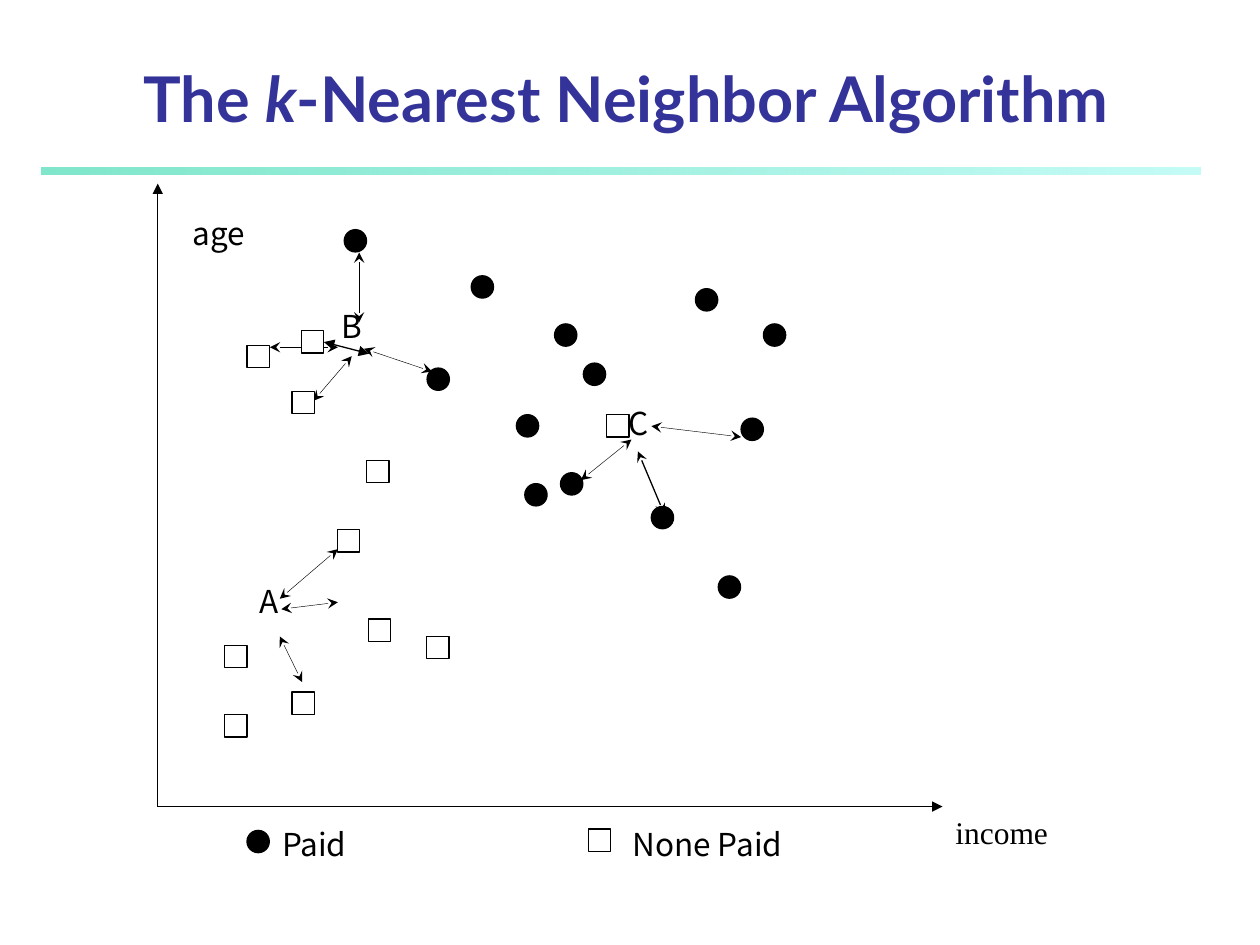
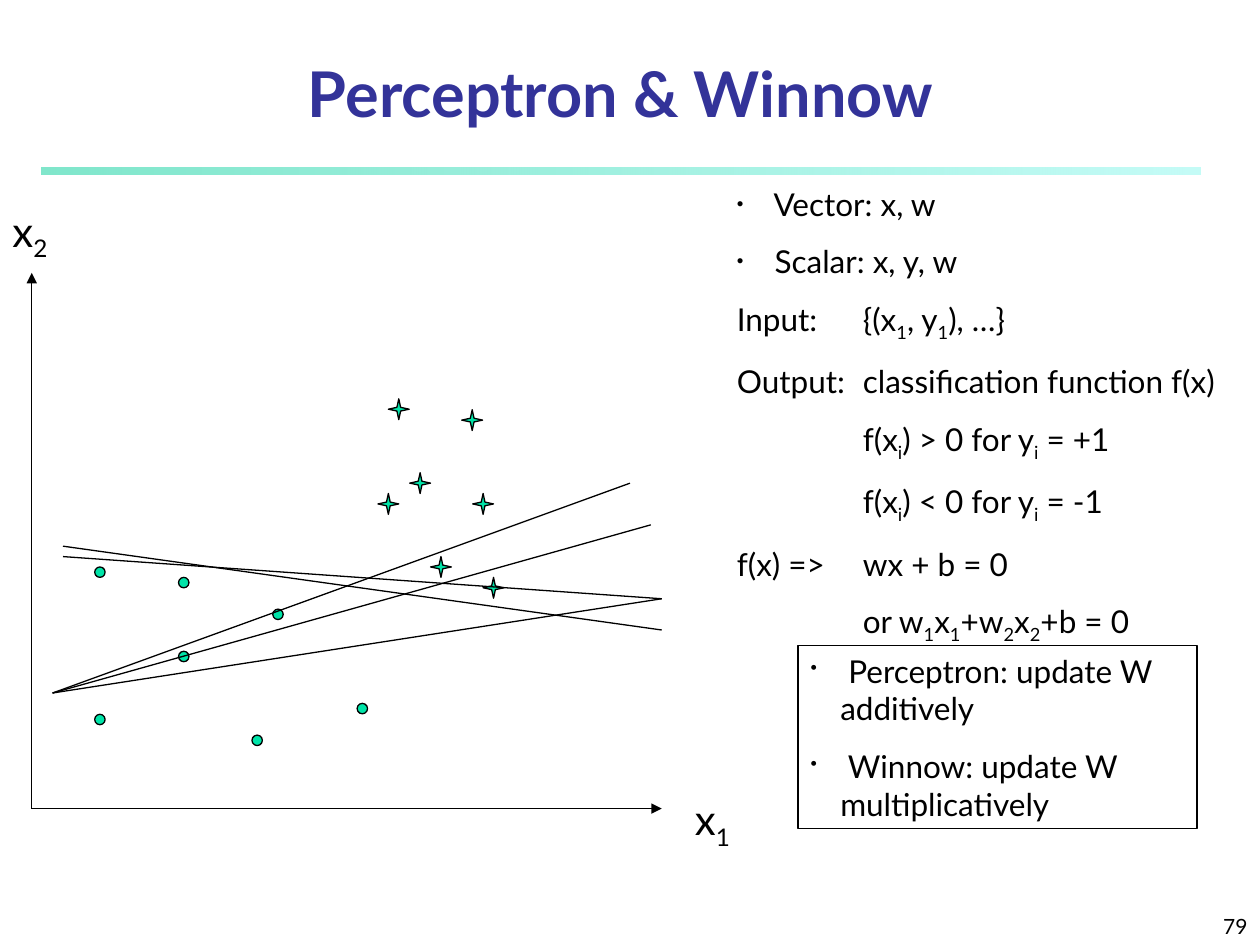
from lxml import etree
from pptx import Presentation
from pptx.dml.color import RGBColor
from pptx.enum import shapes, text
from pptx.oxml import ns
from pptx.util import Cm, Pt

COLORS = {
    "title": "333399",
    "ink": "000000",
    "paper": "FFFFFF",
    "mint": "00E4A8",
    "band_left": "00CE98",
    "band_right": "8FF9EF",
}
LATIN, SANS, SERIF = "Lato", "Noto Sans CJK SC", "Times New Roman"
MARK = shapes.MSO_SHAPE

# Slide 1: left and top of each customer, in cm
PAID = [(13.13, 10.21), (9.5, 5.56), (11.18, 6.53), (15.39, 6.53), (14.02, 5.82),
        (14.94, 8.43), (6.94, 4.63), (11.76, 7.32), (11.3, 9.53), (14.48, 11.61),
        (10.58, 9.75), (8.61, 7.42), (10.41, 8.36)]
NONE_PAID = [(4.98, 6.96), (6.8, 10.68), (7.39, 9.28), (8.6, 12.83), (5.89, 13.95),
             (4.53, 13.01), (4.53, 14.41), (5.89, 7.89), (12.23, 8.36), (7.43, 12.48)]
B_NEIGHBOR = (6.08, 6.67)
NEIGHBOR_LINKS = [
    (7.24, 5.09, 7.24, 6.5), (5.44, 7, 6.81, 7), (8.71, 7.49, 7.34, 7.03),
    (6.32, 8.08, 7.09, 7.18), (14.94, 8.81, 13.13, 8.59), (11.71, 9.68, 12.73, 8.86),
    (5.67, 12.28, 6.81, 12.14), (6.81, 11.07, 5.64, 12.07), (6.09, 13.75, 5.64, 12.83)]
PLOT_LABELS = [("B", 6.63, 6.06, 1.35, SANS), ("age", 3.63, 4.18, 1.8, SANS),
               ("C", 12.42, 8.03, 1.8, SANS), ("A", 4.98, 11.61, 1.35, SANS),
               ("income", 19.01, 16.26, 3, SERIF), ("Paid", 5.44, 16.51, 5.36, SANS),
               ("None Paid", 12.5, 16.51, 5.92, SANS)]

# Slide 2: samples of both classes and the candidate boundaries, in cm
NEGATIVES = [(1.91, 11.43), (1.91, 14.4), (3.6, 11.64), (5.08, 14.82), (3.6, 13.13),
             (5.5, 12.28), (7.2, 14.18)]
POSITIVES = [(8.26, 9.53), (9.53, 9.95), (8.68, 11.22), (7.83, 8.04), (7.62, 9.95),
             (9.74, 11.64), (9.31, 8.26)]
BOUNDARIES = [(12.7, 9.74, 1.06, 13.97), (1.06, 13.97, 13.12, 10.58),
              (1.06, 13.97, 13.34, 12.07), (13.34, 12.07, 1.27, 11.22),
              (1.27, 11.01, 13.34, 12.7)]
VECTORS = [" Vector: x, w", " Scalar: x, y, w"]
INPUT_OUTPUT = ["Input:\t{(x~1~, y~1~), …}", "Output:\tclassification function f(x)"]
CONDITIONS = ["f(x~i~) > 0 for y~i~ = +1", "f(x~i~) < 0 for y~i~ = -1"]
BOUNDARY_RULE = ["f(x) =>\twx + b = 0"]
BOUNDARY_TERMS = ["or w~1~x~1~+w~2~x~2~+b = 0"]
UPDATES = [" Perceptron: update W additively", " Winnow: update W multiplicatively"]
DEFINITION_TAB = 2.54


def color(name):
    return RGBColor.from_string(COLORS[name])


def add_xml(parent, tag, **attributes):
    return etree.SubElement(parent, ns.qn(tag), attributes)


def paint(shape, name):
    shape.fill.solid()
    shape.fill.fore_color.rgb = color(name)


def place(shape, left, top, width, height):
    shape.left, shape.top = Cm(left), Cm(top)
    shape.width, shape.height = Cm(width), Cm(height)


def write(paragraph, content, size=18, font=LATIN, ink="ink", bold=None,
          align=text.PP_ALIGN.LEFT, before=0, bullet=False, margin=0, tab=None,
          marked="subscript"):
    """Fill a paragraph; pieces between ~ signs get the marked style."""
    properties = paragraph._p.get_or_add_pPr()
    hanging = Cm(0.6) if bullet else 0
    properties.set("marL", str(Cm(margin) + hanging))
    properties.set("indent", str(-hanging))
    if bullet:
        add_xml(add_xml(properties, "a:buClr"), "a:srgbClr", val=COLORS["ink"])
        add_xml(properties, "a:buSzPct", val="60000")
        add_xml(properties, "a:buChar", char="•")
    else:
        add_xml(properties, "a:buNone")
    if tab:
        add_xml(add_xml(properties, "a:tabLst"), "a:tab", pos=str(Cm(tab)), algn="l")
    paragraph.alignment = align
    paragraph.space_before = Pt(before)
    for index, piece in enumerate(content.split("~")):
        run = paragraph.add_run()
        run.text = piece
        run.font.size, run.font.name, run.font.bold = Pt(size), font, bold
        run.font.color.rgb = color(ink)
        if index % 2 and marked == "subscript":
            run.font._element.set("baseline", "-25000")
        elif index % 2:
            run.font.italic = True


def write_list(frame, lines, **style):
    """Write paragraphs, reusing the empty first one of the frame."""
    for line in lines:
        first = not frame.paragraphs[0].runs
        paragraph = frame.paragraphs[0] if first else frame.add_paragraph()
        write(paragraph, line, before=0 if first else 11.2, **style)


def add_label(slide, lines, left, top, width, height,
              anchor=text.MSO_ANCHOR.TOP, **style):
    box = slide.shapes.add_textbox(Cm(left), Cm(top), Cm(width), Cm(height))
    box.text_frame.word_wrap = True
    box.text_frame.vertical_anchor = anchor
    write_list(box.text_frame, lines, **style)
    return box


def add_title(slide, content, box, anchor):
    title = slide.shapes.title
    place(title, *box)
    frame = title.text_frame
    frame.auto_size = text.MSO_AUTO_SIZE.NONE
    frame.vertical_anchor = anchor
    write(frame.paragraphs[0], content, size=36, ink="title", bold=True,
          align=text.PP_ALIGN.CENTER, marked="italic")


def add_mark(slide, kind, left, top, size, fill):
    mark = slide.shapes.add_shape(kind, Cm(left), Cm(top), Cm(size), Cm(size))
    mark.shadow.inherit = False
    paint(mark, fill)
    mark.line.color.rgb = color("ink")
    mark.line.width = Pt(0.75)
    return mark


def add_line(slide, x1, y1, x2, y2, width=0.75, head=None, tail=None):
    line = slide.shapes.add_connector(shapes.MSO_CONNECTOR.STRAIGHT,
                                      Cm(x1), Cm(y1), Cm(x2), Cm(y2))
    line.line.color.rgb = color("ink")
    line.line.width = Pt(width)
    outline = line.line._get_or_add_ln()
    for tag, arrow in (("a:headEnd", head), ("a:tailEnd", tail)):
        if arrow:
            add_xml(outline, tag, type=arrow)
    add_xml(line._element.spPr, "a:effectLst")
    return line


def add_axes(slide, left, bottom, right, top):
    add_line(slide, left, bottom, right, bottom, tail="triangle")
    add_line(slide, left, bottom, left, top, tail="triangle")


def add_panel(slide, left, top, width, height):
    panel = slide.shapes.add_shape(MARK.RECTANGLE, Cm(left), Cm(top), Cm(width), Cm(height))
    panel.shadow.inherit = False
    panel.line.fill.background()
    return panel


def add_band(master, slide):
    """Draw the band under the titles and move it to the master."""
    band = add_panel(slide, 0.84, 3.38, 23.37, 0.14)
    band.fill.gradient()
    band.fill.gradient_angle = 0
    stops = zip(band.fill.gradient_stops, ("band_left", "band_right"), ("50000", "52000"))
    for stop, name, alpha in stops:
        stop.color.rgb = color(name)
        add_xml(stop._gs.find(ns.qn("a:srgbClr")), "a:alpha", val=alpha)
    master.shapes._spTree.append(band._element)


def build_neighbors(slide):
    add_title(slide, "The ~k~-Nearest Neighbor Algorithm", (1.27, 1.4, 22.7, 1.12),
              text.MSO_ANCHOR.MIDDLE)
    # Plot area, labels and axes
    paint(add_panel(slide, 2.97, 3.86, 20.12, 13.97), "paper")
    for content, left, top, width, font in PLOT_LABELS:
        paint(add_label(slide, [content], left, top, width, 1.4, font=font), "paper")
    add_axes(slide, 3.18, 16.26, 19, 3.7)
    # Links to the nearest neighbors
    for link in NEIGHBOR_LINKS:
        add_line(slide, *link, width=0.25, head="stealth", tail="stealth")
    add_line(slide, 13.39, 10.36, 12.86, 9.1, head="stealth", tail="stealth")
    # Customers, each list followed by its legend mark
    for left, top in PAID + [(4.98, 16.74)]:
        add_mark(slide, MARK.FLOWCHART_CONNECTOR, left, top, 0.45, "ink")
    for left, top in NONE_PAID + [(11.86, 16.71)]:
        add_mark(slide, MARK.FLOWCHART_PROCESS, left, top, 0.45, "paper")
    b_neighbor = add_mark(slide, MARK.RECTANGLE, *B_NEIGHBOR, 0.45, "paper")
    b_link = add_line(slide, 6.53, 6.89, 7.44, 7.13, head="triangle", tail="triangle")
    b_link.begin_connect(b_neighbor, 3)


def build_perceptron(slide):
    add_title(slide, "Perceptron & Winnow", (0.84, 1.06, 23.34, 1.7),
              text.MSO_ANCHOR.BOTTOM)
    add_label(slide, ["79"], 20.12, 17.98, 5.28, 1.07, anchor=text.MSO_ANCHOR.BOTTOM,
              size=12, align=text.PP_ALIGN.RIGHT)
    # Definitions
    definitions = slide.placeholders[1]
    place(definitions, 14.6, 3.6, 10.8, 10.72)
    frame = definitions.text_frame
    frame.auto_size = text.MSO_AUTO_SIZE.NONE
    write_list(frame, VECTORS, bullet=True)
    write_list(frame, INPUT_OUTPUT, tab=DEFINITION_TAB)
    write_list(frame, CONDITIONS, margin=DEFINITION_TAB)
    write_list(frame, BOUNDARY_RULE, tab=DEFINITION_TAB)
    write_list(frame, BOUNDARY_TERMS, margin=DEFINITION_TAB)
    # Plot
    add_axes(slide, 0.64, 16.3, 13.34, 5.5)
    add_label(slide, ["x~1~"], 13.76, 15.88, 2.11, 1.42, size=24)
    add_label(slide, ["x~2~"], 0, 4.01, 2.11, 1.42, size=24)
    for left, top in NEGATIVES:
        add_mark(slide, MARK.OVAL, left, top, 0.21, "mint")
    for left, top in POSITIVES:
        add_mark(slide, MARK.STAR_4_POINT, left, top, 0.42, "mint")
    for boundary in BOUNDARIES:
        add_line(slide, *boundary)
    # Update rules
    updates = add_label(slide, UPDATES, 16.09, 13.01, 8.04, 3.7, bullet=True)
    updates.line.color.rgb = color("ink")
    updates.line.width = Pt(0.75)


def main():
    deck = Presentation()
    deck.slide_width, deck.slide_height = Cm(25.4), Cm(19.05)
    neighbors = deck.slides.add_slide(deck.slide_layouts[5])
    add_band(deck.slide_master, neighbors)
    build_neighbors(neighbors)
    build_perceptron(deck.slides.add_slide(deck.slide_layouts[1]))
    deck.save("out.pptx")


if __name__ == "__main__":
    main()
